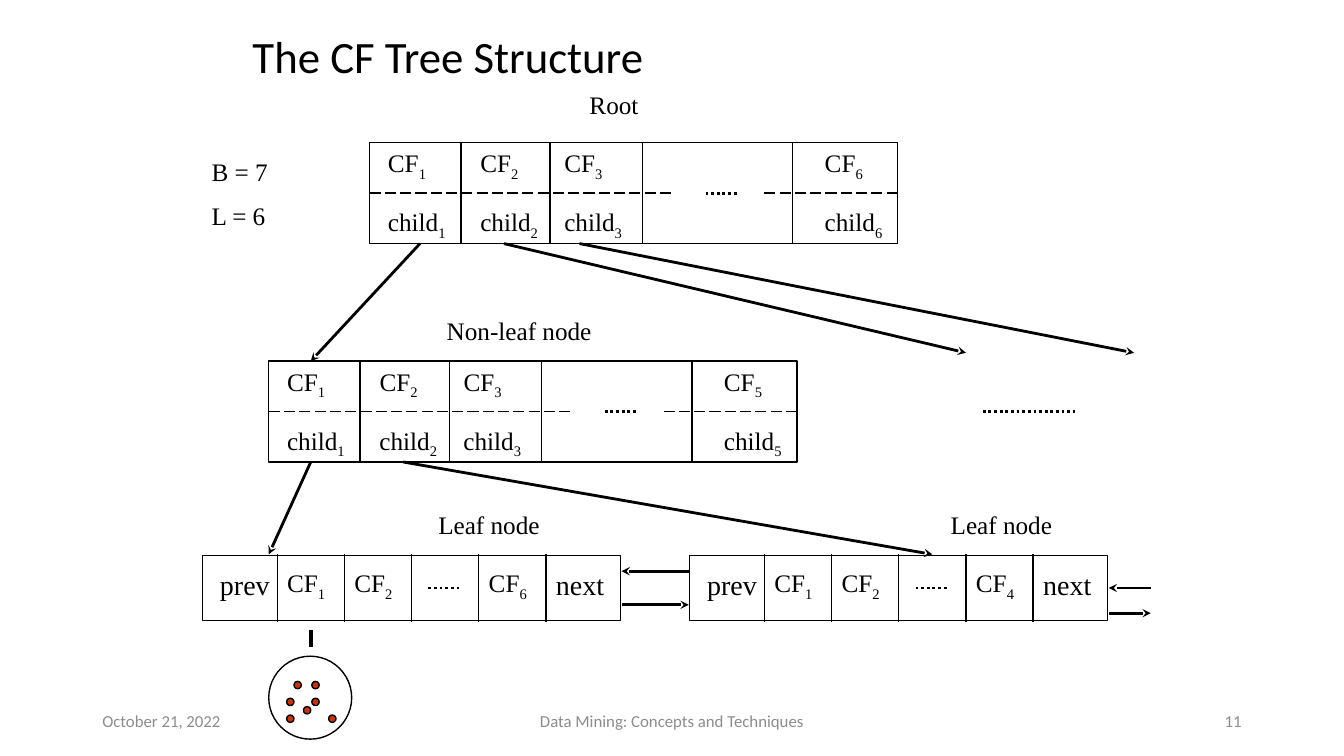
import lxml.etree
import pptx
import pptx.dml.color
import pptx.enum.dml
import pptx.enum.shapes
import pptx.enum.text
import pptx.oxml.ns
import pptx.util

BLACK = pptx.dml.color.RGBColor(0x00, 0x00, 0x00)
GRAY = pptx.dml.color.RGBColor(0x8C, 0x8C, 0x8C)
RED = pptx.dml.color.RGBColor(0xCC, 0x33, 0x00)

PX = 9525
ALIGN = pptx.enum.text.PP_ALIGN
ANCHOR = pptx.enum.text.MSO_ANCHOR
DASH = pptx.enum.dml.MSO_LINE
SHAPE = pptx.enum.shapes.MSO_SHAPE


def set_attributes(target, values):
    for name, value in values.items():
        setattr(target, name, value)


class TreeSlide:
    """Draws CF tree elements on one slide in a shared style, with lengths in px."""

    def __init__(self, slide):
        self.slide = slide
        self.serif = {"name": "Times New Roman", "size": pptx.util.Pt(18)}
        self.footer = {"name": "Calibri", "size": pptx.util.Pt(12)}
        self.heading = {"name": "Calibri", "size": pptx.util.Pt(32)}

    def text(self, box, lines, font=None, color=BLACK, anchor=ANCHOR.TOP, **paragraph_format):
        shape = self.slide.shapes.add_textbox(*[length * PX for length in box])
        frame = shape.text_frame
        set_attributes(frame, {"word_wrap": True, "vertical_anchor": anchor})
        for index, line in enumerate(lines.split("\n")):
            paragraph = frame.add_paragraph() if index else frame.paragraphs[0]
            set_attributes(paragraph, paragraph_format)
            if index:
                paragraph.space_before = pptx.util.Pt(10)
            for level, part in enumerate(line.split("_")):
                run = paragraph.add_run()
                run.text = part
                set_attributes(run.font, font or self.serif)
                run.font.color.rgb = color
                if level:
                    run.font._element.set("baseline", "-25000")

    def line(self, start, end, width=1, dash=None, arrow=False):
        connector = self.slide.shapes.add_connector(
            pptx.enum.shapes.MSO_CONNECTOR.STRAIGHT,
            *[length * PX for length in (*start, *end)])
        connector.line.color.rgb = BLACK
        set_attributes(connector.line, {"width": pptx.util.Pt(width), "dash_style": dash})
        if arrow:
            tail = lxml.etree.SubElement(
                connector.line._get_or_add_ln(), pptx.oxml.ns.qn("a:tailEnd"))
            tail.set("type", "stealth")
        properties = connector._element.spPr
        lxml.etree.SubElement(properties, pptx.oxml.ns.qn("a:effectLst"))

    def dots(self, left, right, y):
        self.line((left, y), (right, y), 2, DASH.ROUND_DOT)

    def shape(self, kind, box, fill=None):
        shape = self.slide.shapes.add_shape(kind, *[length * PX for length in box])
        shape.shadow.inherit = False
        shape.line.color.rgb = BLACK
        shape.line.width = pptx.util.Pt(1)
        if fill is None:
            shape.fill.background()
        else:
            shape.fill.solid()
            shape.fill.fore_color.rgb = fill

    def branch_node(self, left, top, last):
        self.shape(SHAPE.RECTANGLE, (left, top, 503, 96))
        for offset in (87, 172, 260, 403):
            self.line((left + offset, top), (left + offset, top + 96))
        for start, end in ((0, 288), (376, 504)):
            self.line((left + start, top + 48), (left + end, top + 48), 1, DASH.LONG_DASH)
        self.dots(left + 320, left + 352, top + 48)
        for offset, number in ((8, 1), (96, 2), (176, 3), (424, last)):
            self.text((left + offset, top, 72, 38), f"CF_{number}")
            self.text((left + offset, top + 56, 96, 38), f"child_{number}")

    def leaf_node(self, left, top, last):
        self.shape(SHAPE.RECTANGLE, (left + 1, top + 1, 398, 62))
        for offset in range(72, 329, 64):
            self.line((left + offset, top), (left + offset, top + 64))
        self.dots(left + 216, left + 248, top + 32)
        for offset, number in ((72, 1), (136, 2), (264, last)):
            self.text((left + offset, top + 8, 72, 38), f"CF_{number}")
        large = {**self.serif, "size": pptx.util.Pt(20)}
        for offset, word in ((8, "prev"), (328, "next")):
            self.text((left + offset, top + 8, 72, 42), word, large)


def main():
    presentation = pptx.Presentation()
    set_attributes(presentation, {"slide_width": 1280 * PX, "slide_height": 720 * PX})
    tree = TreeSlide(presentation.slides.add_slide(presentation.slide_layouts[6]))

    tree.text((231, 24, 793, 64), "The CF Tree Structure", tree.heading,
              anchor=ANCHOR.MIDDLE, line_spacing=0.9)
    for left, width, words, alignment in (
            (88, 288, "October 21, 2022", ALIGN.LEFT),
            (424, 432, "Data Mining: Concepts and Techniques", ALIGN.CENTER),
            (904, 288, "11", ALIGN.RIGHT)):
        tree.text((left, 667, width, 38), words, tree.footer, GRAY,
                  ANCHOR.MIDDLE, alignment=alignment)

    tree.text((192, 144, 112, 83), "B = 7\nL = 6")
    for left, top, width, label in (
            (552, 80, 104, "Root"), (416, 296, 208, "Non-leaf node"),
            (408, 480, 152, "Leaf node"), (896, 480, 152, "Leaf node")):
        tree.text((left, top, width, 38), label)

    tree.branch_node(352, 136, 6)
    tree.branch_node(256, 344, 5)
    tree.leaf_node(192, 528, 6)
    tree.leaf_node(656, 528, 4)
    tree.dots(936, 1024, 392)

    child_arrows = (
        ((400, 232), (296, 344)), ((480, 232), (920, 336)), ((552, 232), (1080, 336)),
        ((296, 440), (256, 528)), ((384, 440), (888, 528)))
    sibling_arrows = (
        ((656, 544), (592, 544)), ((592, 576), (656, 576)),
        ((1056, 584), (1096, 584)), ((1096, 560), (1056, 560)))
    for start, end in child_arrows + sibling_arrows:
        tree.line(start, end, 2, arrow=True)

    tree.line((296, 600), (296, 616), 3)
    tree.shape(SHAPE.OVAL, (256, 625, 79, 79))
    for left, top in ((280, 649), (297, 649), (273, 665), (297, 665),
                      (289, 673), (273, 681), (313, 681)):
        tree.shape(SHAPE.OVAL, (left, top, 7, 7), RED)

    presentation.save("out.pptx")


if __name__ == "__main__":
    main()
